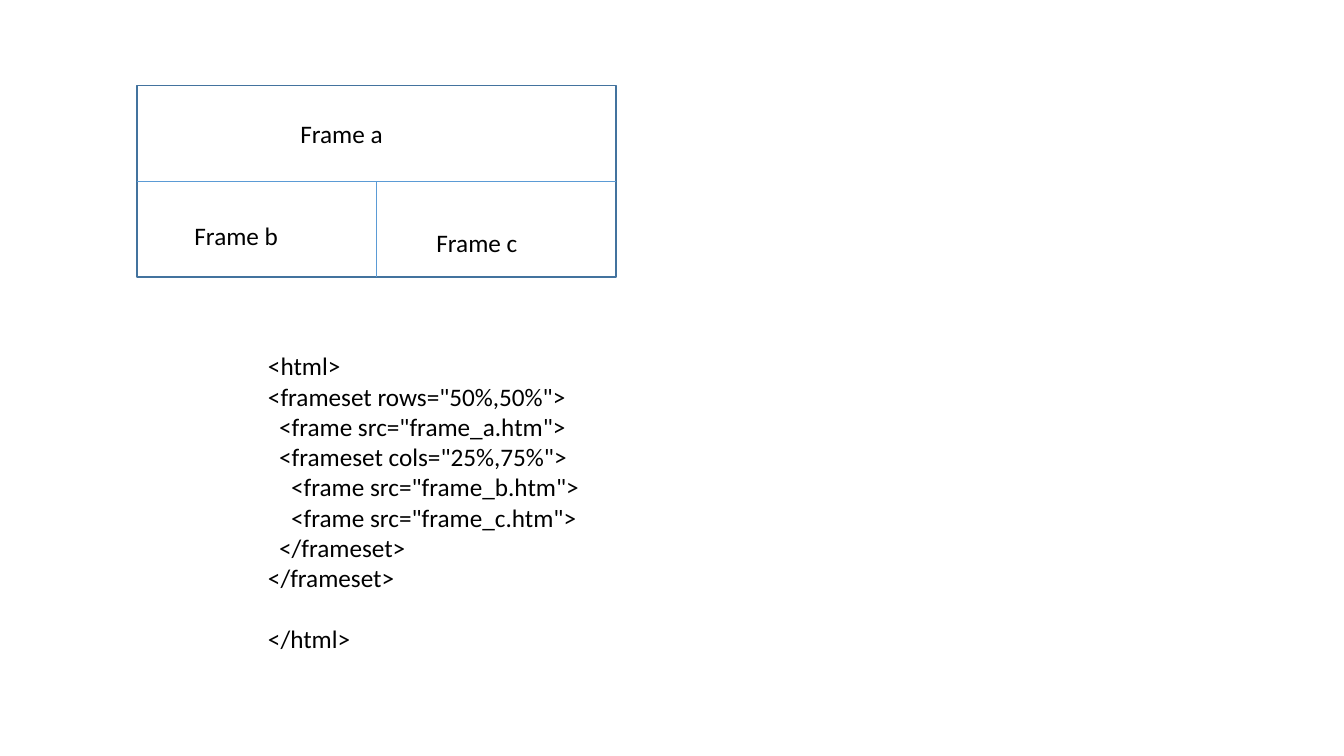
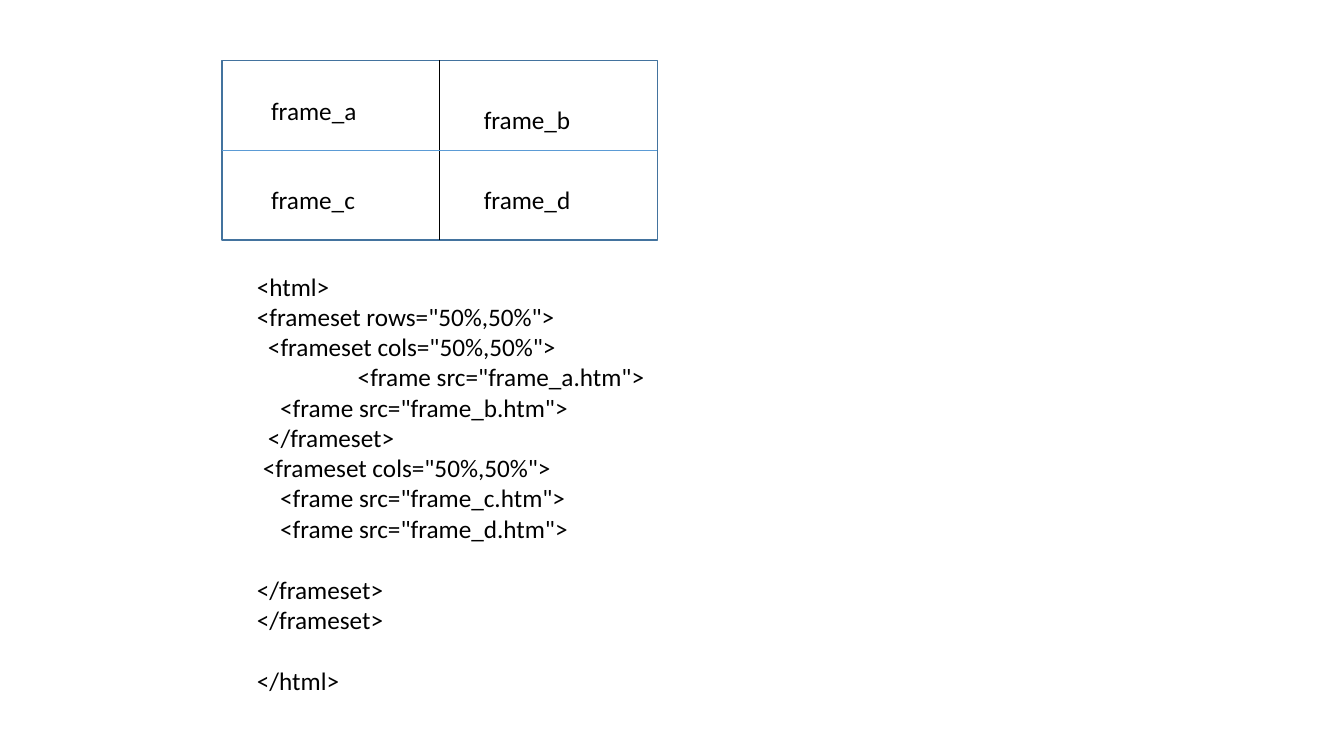
from lxml import etree
from pptx import Presentation
from pptx.dml.color import RGBColor
from pptx.enum.shapes import MSO_CONNECTOR, MSO_SHAPE
from pptx.enum.text import MSO_AUTO_SIZE
from pptx.oxml.ns import qn
from pptx.util import Inches, Pt

RECTANGLE = MSO_SHAPE.RECTANGLE
STRAIGHT = MSO_CONNECTOR.STRAIGHT
GROW = MSO_AUTO_SIZE.SHAPE_TO_FIT_TEXT

FONT, TEXT_SIZE, LINE_HEIGHT = "Calibri", 18, 22
BLACK, WHITE, OUTLINE, DIVIDER = "000000", "FFFFFF", "43739E", "5B9BD5"
LABEL_HEIGHT = 0.4
CODE_WIDTH = 6.67
# Code indents in inches
SLIGHT, ONE, TWO, TAB = 0.06, 0.11, 0.23, 1

# Code lines: indent, text, and empty lines above where there are any
THREE_FRAME_CODE = [
    (0, "<html>"),
    (0, '<frameset rows="50%,50%">'),
    (ONE, '<frame src="frame_a.htm">'),
    (ONE, '<frameset cols="25%,75%">'),
    (TWO, '<frame src="frame_b.htm">'),
    (TWO, '<frame src="frame_c.htm">'),
    (ONE, "</frameset>"),
    (0, "</frameset>"),
    (0, "</html>", 1),
]
FOUR_FRAME_CODE = [
    (0, "<html>"),
    (0, '<frameset rows="50%,50%">'),
    (ONE, '<frameset cols="50%,50%">'),
    (TAB, '<frame src="frame_a.htm">'),
    (TWO, '<frame src="frame_b.htm">'),
    (ONE, "</frameset>"),
    (SLIGHT, '<frameset cols="50%,50%">'),
    (TWO, '<frame src="frame_c.htm">'),
    (TWO, '<frame src="frame_d.htm">'),
    (0, "</frameset>", 1),
    (0, "</frameset>"),
    (0, "</html>", 1),
]

# Dividers: start and end as shares of the diagram, then colour
THREE_FRAME_DIVIDERS = [(0, 0.5, 1, 0.5, DIVIDER), (0.5, 0.5, 0.5, 1, DIVIDER)]
FOUR_FRAME_DIVIDERS = [(0.5, 0, 0.5, 1, BLACK), (0, 0.5, 1, 0.5, DIVIDER)]

# Labels: text, offset from the diagram's corner, width
THREE_FRAME_LABELS = [
    ("Frame a", 1.52, 0.27, 1.56),
    ("Frame b", 0.47, 1.29, 1.39),
    ("Frame c", 2.87, 1.36, 1.48),
]
FOUR_FRAME_LABELS = [
    ("frame_a", 0.39, 0.3, 1.32),
    ("frame_b", 2.5, 0.39, 1.44),
    ("frame_c", 0.39, 1.18, 1.47),
    ("frame_d", 2.5, 1.18, 1.52),
]


def rgb(color):
    return RGBColor.from_string(color)


def add_text(page, left, top, width, height, lines):
    box = page.shapes.add_textbox(*map(Inches, (left, top, width, height)))
    frame = box.text_frame
    frame.word_wrap = True
    frame.auto_size = GROW
    for number, (indent, text, *gap) in enumerate(lines):
        para = frame.add_paragraph() if number else frame.paragraphs[0]
        para.text = text
        para.font.name = FONT
        para.font.size = Pt(TEXT_SIZE)
        para.font.color.rgb = rgb(BLACK)
        if indent:
            para._p.get_or_add_pPr().set("marL", str(Inches(indent)))
        if gap:
            para.space_before = Pt(gap[0] * LINE_HEIGHT)


def add_divider(page, start, end, color):
    line = page.shapes.add_connector(STRAIGHT, *map(Inches, start + end))
    line.line.color.rgb = rgb(color)
    line.line.width = Pt(0.5)
    etree.SubElement(line._element.spPr, qn("a:effectLst"))


def add_diagram(page, box, dividers, labels):
    left, top, width, height = box
    outline = page.shapes.add_shape(RECTANGLE, *map(Inches, box))
    outline.shadow.inherit = False
    outline.fill.solid()
    outline.fill.fore_color.rgb = rgb(WHITE)
    outline.line.color.rgb = rgb(OUTLINE)
    outline.line.width = Pt(1)
    for x1, y1, x2, y2, color in dividers:
        start = (left + x1 * width, top + y1 * height)
        end = (left + x2 * width, top + y2 * height)
        add_divider(page, start, end, color)
    for text, x, y, label_width in labels:
        add_text(page, left + x, top + y, label_width, LABEL_HEIGHT, [(0, text)])


def add_frameset_page(deck, code_box, code, diagram_box, dividers, labels):
    page = deck.slides.add_slide(deck.slide_layouts.get_by_name("Blank"))
    add_text(page, *code_box, code)
    add_diagram(page, diagram_box, dividers, labels)


def main():
    deck = Presentation()
    deck.slide_width, deck.slide_height = Inches(13.33), Inches(7.5)
    add_frameset_page(deck, (2.56, 3.43, CODE_WIDTH, 3.13), THREE_FRAME_CODE,
                      (1.36, 0.85, 4.75, 1.9), THREE_FRAME_DIVIDERS, THREE_FRAME_LABELS)
    add_frameset_page(deck, (2.45, 2.64, CODE_WIDTH, 4.34), FOUR_FRAME_CODE,
                      (2.2, 0.6, 4.32, 1.78), FOUR_FRAME_DIVIDERS, FOUR_FRAME_LABELS)
    deck.save("out.pptx")


if __name__ == "__main__":
    main()
